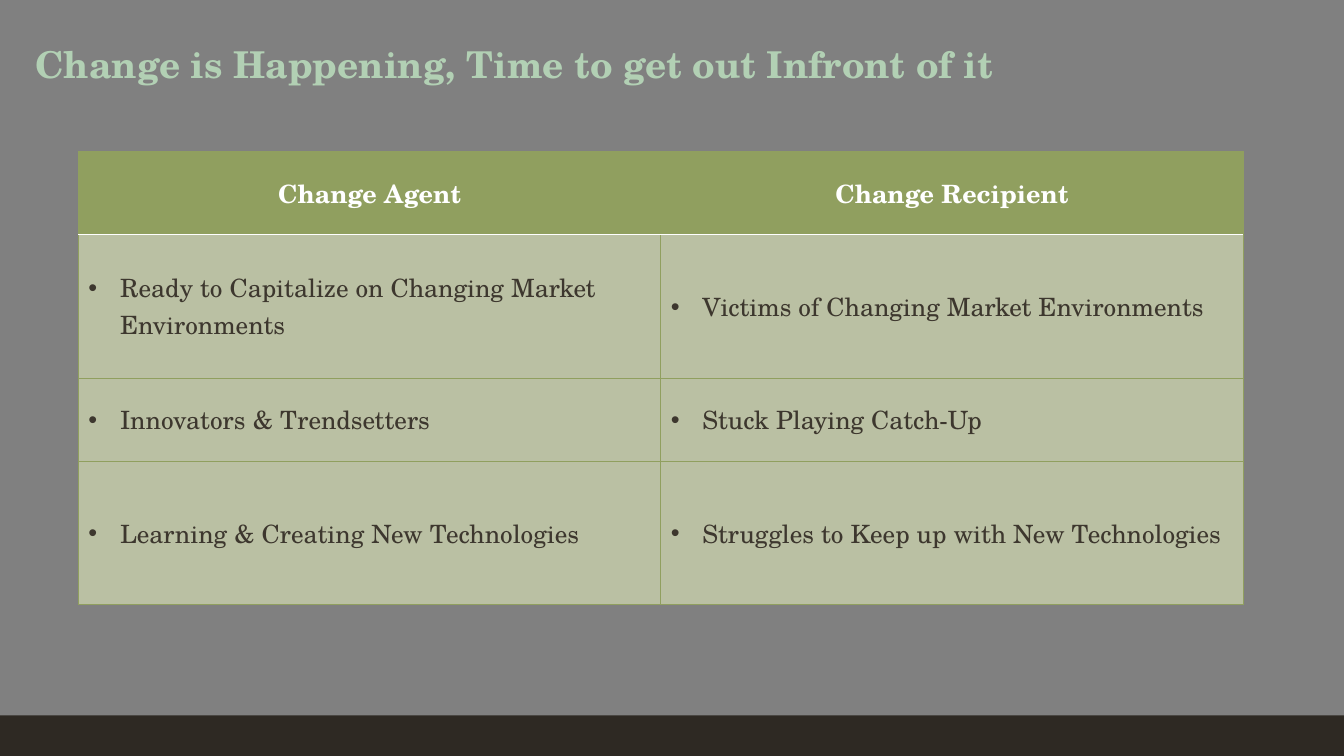
import dataclasses

import pptx
import pptx.dml.color
import pptx.enum.shapes
import pptx.enum.text
import pptx.oxml
import pptx.oxml.ns
import pptx.util

Pt = pptx.util.Pt
RGB = pptx.dml.color.RGBColor.from_string
ALIGN = pptx.enum.text.PP_ALIGN
ANCHOR = pptx.enum.text.MSO_ANCHOR


@dataclasses.dataclass(frozen=True)
class Theme:
    """Colours, font and type sizes of the slide."""
    background: str = "808080"
    footer: str = "2E2923"
    title: str = "B2D0B4"
    accent: str = "909F5F"
    cell: str = "BAC0A3"
    white: str = "FFFFFF"
    ink: str = "3D372E"
    font: str = "TeX Gyre Schola"
    title_size: float = 26.4
    table_size: float = 18
    hairline: float = 0.5
    header_line: float = 1


THEME = Theme()
TITLE = "Change is Happening, Time to get out Infront of it"
COMPARISON = [
    ("Change Agent", "Change Recipient"),
    ("Ready to Capitalize on Changing Market Environments",
     "Victims of Changing Market Environments"),
    ("Innovators & Trendsetters", "Stuck Playing Catch-Up"),
    ("Learning & Creating New Technologies",
     "Struggles to Keep up with New Technologies"),
]
ROW_SHARES = (0.83, 1.42, 0.83, 1.42)
BULLET_INDENT = 22.5


def set_values(target, values):
    """Set each named format value on the target."""
    for name, value in values.items():
        setattr(target, name, value)


def write(paragraph, text, size, color, bold):
    """Write one run of formatted text."""
    run = paragraph.add_run()
    run.text = text
    set_values(run.font, {"name": THEME.font, "size": Pt(size), "bold": bold})
    run.font.color.rgb = RGB(color)


def add_bullet(paragraph):
    """Give the paragraph a hanging round bullet."""
    properties = paragraph._p.get_or_add_pPr()
    indent = int(Pt(BULLET_INDENT))
    properties.set("marL", str(indent))
    properties.set("indent", str(-indent))
    namespace = pptx.oxml.ns.nsdecls("a")
    for xml in (f'<a:buFont {namespace} typeface="Arial"/>',
                f'<a:buChar {namespace} char="•"/>'):
        properties.append(pptx.oxml.parse_xml(xml))


def add_border(cell, side, color, width):
    """Draw one border of a cell."""
    cell._tc.get_or_add_tcPr().append(pptx.oxml.parse_xml(
        f'<a:ln{side} {pptx.oxml.ns.nsdecls("a")} w="{int(Pt(width))}">'
        f'<a:solidFill><a:srgbClr val="{color}"/></a:solidFill></a:ln{side}>'))


def fill_cell(cell, text, row):
    """Format one cell as a header or as a bulleted entry."""
    header = row == 0
    rule_side = {0: "B", 1: "T"}.get(row)
    for side in "LRTB":
        if side == rule_side:
            add_border(cell, side, THEME.white, THEME.header_line)
        else:
            add_border(cell, side, THEME.accent, THEME.hairline)
    cell.fill.solid()
    cell.fill.fore_color.rgb = RGB(THEME.accent if header else THEME.cell)
    cell.vertical_anchor = ANCHOR.MIDDLE
    paragraph = cell.text_frame.paragraphs[0]
    paragraph.alignment = ALIGN.CENTER if header else ALIGN.LEFT
    if not header:
        add_bullet(paragraph)
    write(paragraph, text, THEME.table_size,
          THEME.white if header else THEME.ink, header)


def add_comparison(slide, left, top, width, height):
    """Place the two-column comparison table in the box."""
    columns = len(COMPARISON[0])
    table = slide.shapes.add_table(
        len(COMPARISON), columns, Pt(left), Pt(top), Pt(width), Pt(height)).table
    for column in table.columns:
        column.width = Pt(width / columns)
    for row, share in zip(table.rows, ROW_SHARES):
        row.height = Pt(height * share / sum(ROW_SHARES))
    for row, texts in enumerate(COMPARISON):
        for column, text in enumerate(texts):
            fill_cell(table.cell(row, column), text, row)


def add_title(slide, left, top, width, height):
    """Place the slide title in the box."""
    heading = slide.shapes.title
    set_values(heading, {"left": Pt(left), "top": Pt(top),
                         "width": Pt(width), "height": Pt(height)})
    set_values(heading.text_frame, {
        "word_wrap": True, "auto_size": pptx.enum.text.MSO_AUTO_SIZE.NONE,
        "vertical_anchor": ANCHOR.TOP, "margin_top": Pt(8)})
    paragraph = heading.text_frame.paragraphs[0]
    set_values(paragraph, {"alignment": ALIGN.LEFT, "line_spacing": 0.7,
                           "space_before": Pt(0)})
    write(paragraph, TITLE, THEME.title_size, THEME.title, True)


def add_footer(slide, left, top, width, height):
    """Place the dark footer band in the box."""
    band = slide.shapes.add_shape(
        pptx.enum.shapes.MSO_SHAPE.RECTANGLE,
        Pt(left), Pt(top), Pt(width), Pt(height))
    band.shadow.inherit = False
    band.fill.solid()
    band.fill.fore_color.rgb = RGB(THEME.footer)
    band.line.fill.background()


def main():
    """Build and save the presentation."""
    deck = pptx.Presentation()
    set_values(deck, {"slide_width": Pt(960), "slide_height": Pt(540)})
    slide = deck.slides.add_slide(deck.slide_layouts.get_by_name("Title Only"))
    slide.background.fill.solid()
    slide.background.fill.fore_color.rgb = RGB(THEME.background)
    add_footer(slide, 0, 511, 960, 29)
    add_title(slide, 18, 30, 744, 54)
    add_comparison(slide, 56, 108, 832, 324)
    deck.save("out.pptx")


if __name__ == "__main__":
    main()
